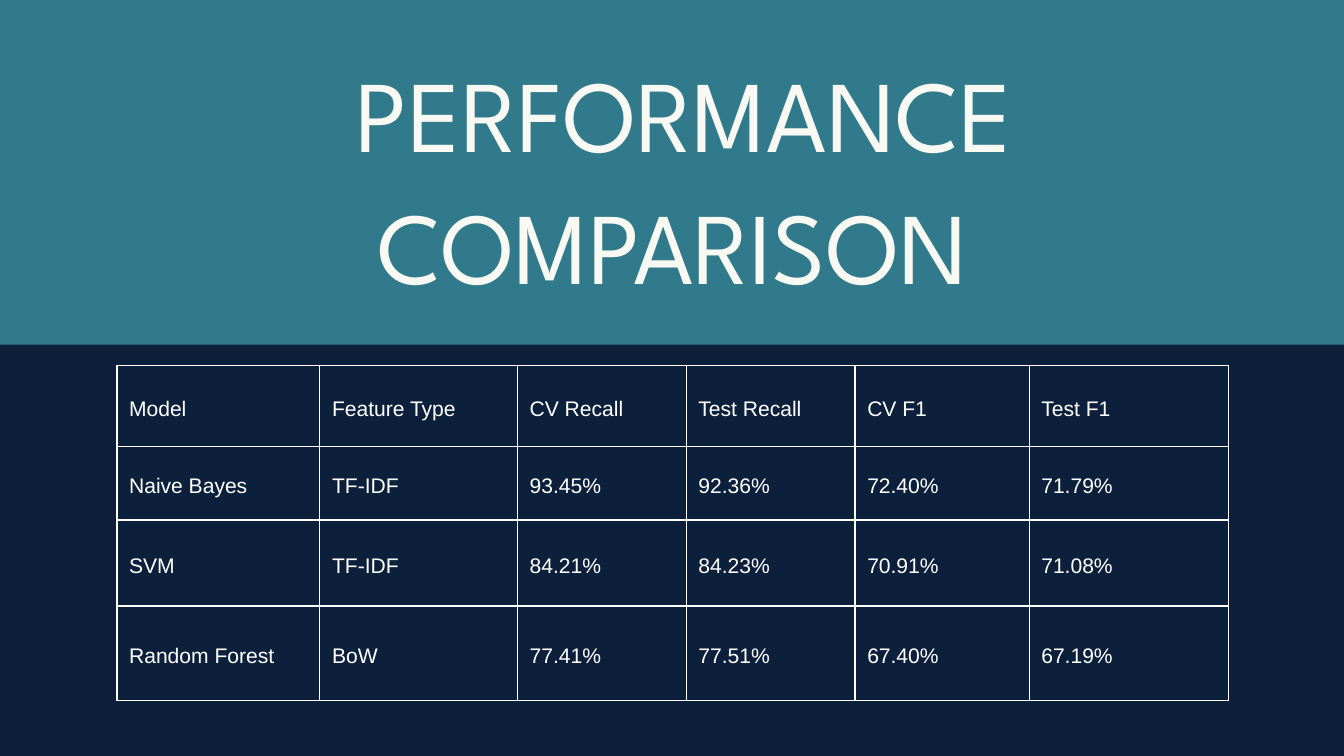
from pptx import Presentation
from pptx.dml.color import RGBColor
from pptx.enum.shapes import MSO_SHAPE
from pptx.enum.text import MSO_ANCHOR, PP_ALIGN
from pptx.oxml import parse_xml
from pptx.oxml.ns import nsdecls
from pptx.util import Cm, Pt

COLORS = {"navy": "0D203B", "teal": "317A8B", "cream": "F9F9F4", "white": "FFFFFF"}
TITLE = ["PERFORMANCE", "COMPARISON"]
SCORES = [
    ["Model", "Feature Type", "CV Recall", "Test Recall", "CV F1", "Test F1"],
    ["Naive Bayes", "TF-IDF", "93.45%", "92.36%", "72.40%", "71.79%"],
    ["SVM", "TF-IDF", "84.21%", "84.23%", "70.91%", "71.08%"],
    ["Random Forest", "BoW", "77.41%", "77.51%", "67.40%", "67.19%"],
]
WIDTHS = [7.67, 7.47, 6.38, 6.38, 6.58, 7.54]
HEIGHTS = [3.05, 2.79, 3.25, 3.58]


def color(name):
    return RGBColor.from_string(COLORS[name])


def add_run(para, text, font, size, tint, lead):
    para.line_spacing = Pt(lead)
    run = para.add_run()
    run.text = text
    run.font.name = font
    run.font.size = Pt(size)
    run.font.color.rgb = color(tint)


def add_band(slide, left, top, width, height):
    band = slide.shapes.add_shape(
        MSO_SHAPE.RECTANGLE, Cm(left), Cm(top), Cm(width), Cm(height))
    band.shadow.inherit = False
    band.fill.solid()
    band.fill.fore_color.rgb = color("teal")
    band.line.fill.background()


def add_title(slide, left, top, width, height):
    box = slide.shapes.add_textbox(Cm(left), Cm(top), Cm(width), Cm(height))
    frame = box.text_frame
    frame.word_wrap = True
    frame.margin_left = frame.margin_right = 0
    frame.margin_top = frame.margin_bottom = 0
    for i, line in enumerate(TITLE):
        para = frame.add_paragraph() if i else frame.paragraphs[0]
        para.alignment = PP_ALIGN.CENTER
        add_run(para, line, "League Spartan", 109, "cream", 141.7)
    # The first line sits slightly right of centre.
    frame.paragraphs[0]._p.get_or_add_pPr().set("marL", str(Cm(0.9)))


def add_borders(cell):
    props = cell._tc.get_or_add_tcPr()
    for i, side in enumerate("LRTB"):
        props.insert(i, parse_xml(
            f'<a:ln{side} {nsdecls("a")} w="{Pt(1.5)}"><a:solidFill>'
            f'<a:srgbClr val="{COLORS["white"]}"/></a:solidFill></a:ln{side}>'))


def add_scores(slide, left, top):
    table = slide.shapes.add_table(
        len(HEIGHTS), len(WIDTHS), Cm(left), Cm(top),
        Cm(sum(WIDTHS)), Cm(sum(HEIGHTS))).table
    table.first_row = table.horz_banding = False
    for col, width in zip(table.columns, WIDTHS):
        col.width = Cm(width)
    for row, height, texts in zip(table.rows, HEIGHTS, SCORES):
        row.height = Cm(height)
        for cell, text in zip(row.cells, texts):
            cell.fill.background()
            add_borders(cell)
            cell.vertical_anchor = MSO_ANCHOR.MIDDLE
            cell.margin_left = cell.margin_right = Cm(0.46)
            cell.margin_top = cell.margin_bottom = Cm(0.46)
            add_run(cell.text_frame.paragraphs[0], text, "Arial", 22.6, "white", 31.7)


def main():
    deck = Presentation()
    deck.slide_width, deck.slide_height = Cm(50.8), Cm(28.58)
    slide = deck.slides.add_slide(deck.slide_layouts[6])
    slide.background.fill.solid()
    slide.background.fill.fore_color.rgb = color("navy")
    add_band(slide, -5.03, -2.31, 66.17, 15.34)
    add_scores(slide, 4.42, 13.82)
    add_title(slide, 4.42, 1.52, 41.99, 9.83)
    deck.save("out.pptx")


if __name__ == "__main__":
    main()
